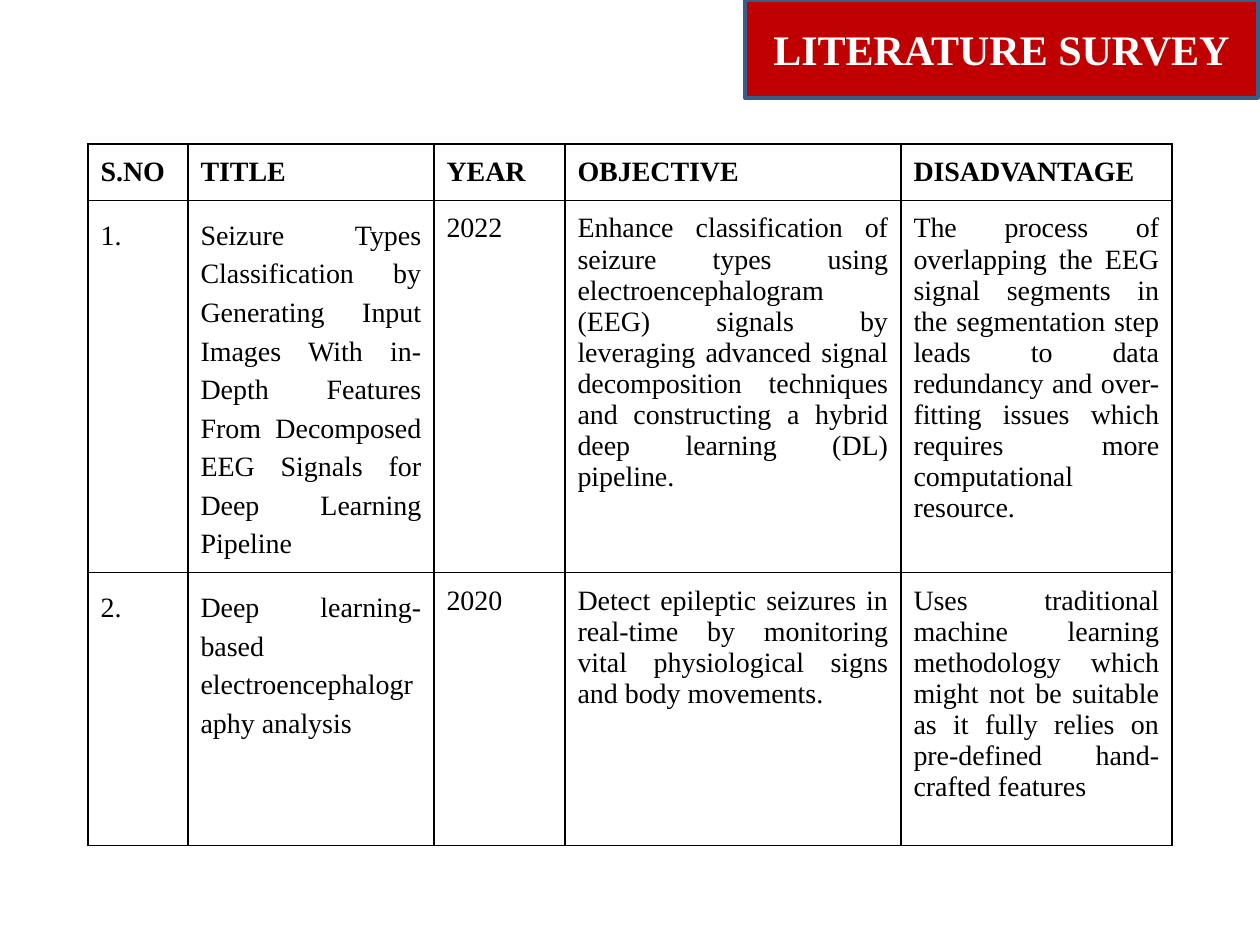
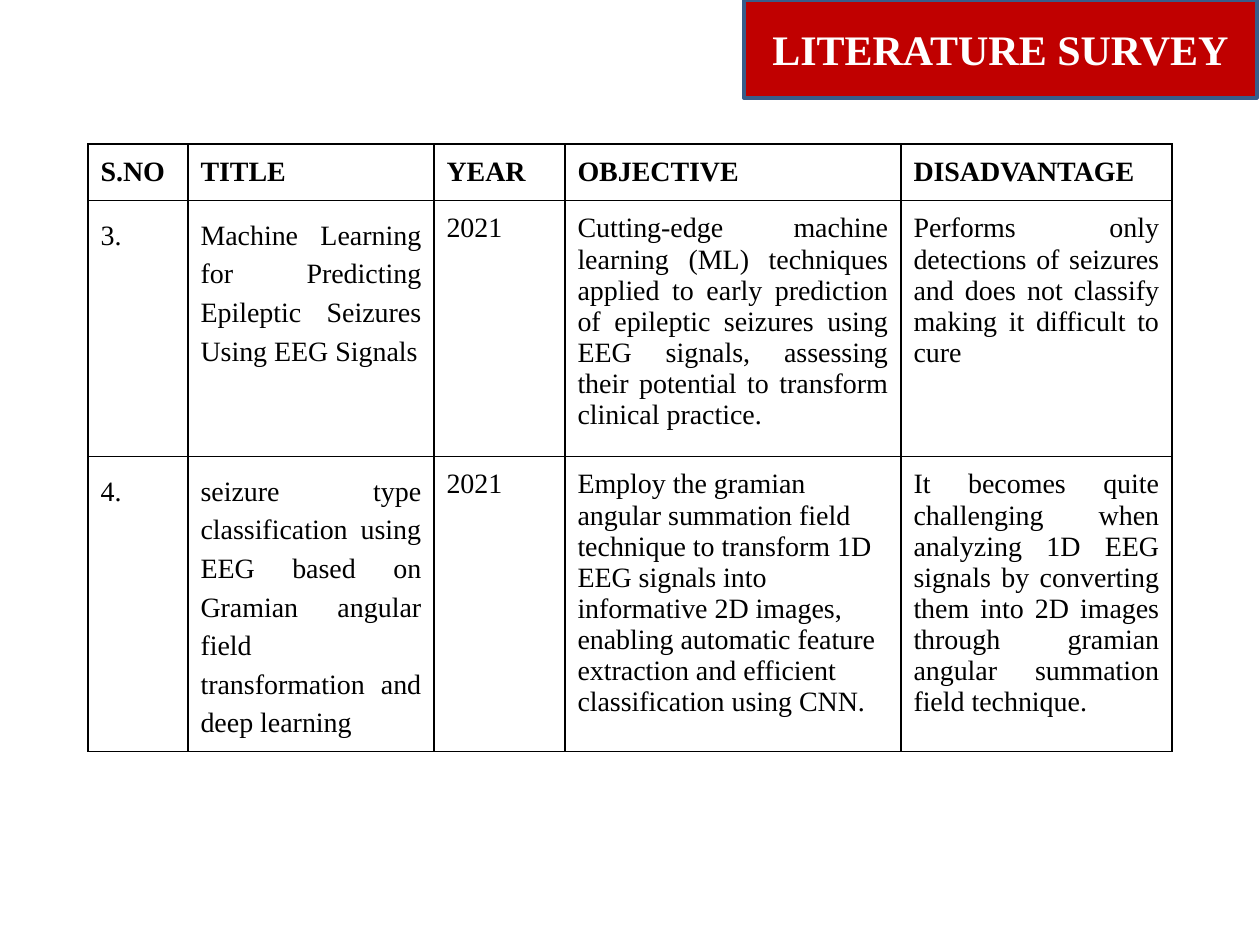
from lxml.etree import SubElement
from pptx import Presentation
from pptx.dml.color import RGBColor
from pptx.enum.shapes import MSO_SHAPE as Shape
from pptx.enum.text import MSO_ANCHOR as Anchor, PP_ALIGN as Align
from pptx.oxml.ns import qn
from pptx.util import Emu, Pt

PX = 914400 / 126
COLORS = {"banner": "C00000", "banner_line": "385D8A", "paper": "FFFFFF", "ink": "000000"}
FONT = "Times New Roman"
HEADERS = ["S.NO", "TITLE", "YEAR", "OBJECTIVE", "DISADVANTAGE"]
COLUMN_WIDTHS = [100, 246, 131, 336, 271]
HEADER_HEIGHT = 56
LOOSE_COLUMNS = 2  # number and title have wider line spacing

SURVEYS = [
    {
        "banner_left": 745,
        "row_heights": [370, 273],
        "papers": [
            ["1.",
             "Seizure Types Classification by Generating Input Images With in-Depth Features "
             "From Decomposed EEG Signals for Deep Learning Pipeline",
             "2022",
             "Enhance classification of seizure types using electroencephalogram (EEG) signals "
             "by leveraging advanced signal decomposition techniques and constructing a hybrid "
             "deep learning (DL) pipeline.",
             "The process of overlapping the EEG signal segments in the segmentation step leads "
             "to data redundancy and over-fitting issues which requires more computational "
             "resource."],
            ["2.",
             "Deep learning-based electroencephalography analysis",
             "2020",
             "Detect epileptic seizures in real-time by monitoring vital physiological signs "
             "and body movements.",
             "Uses traditional machine learning methodology which might not be suitable as it "
             "fully relies on pre-defined hand-crafted features"],
        ],
    },
    {
        "banner_left": 744,
        "row_heights": [256, 293],
        "left_aligned": {(2, 3)},
        "papers": [
            ["3.",
             "Machine Learning for Predicting Epileptic Seizures Using EEG Signals",
             "2021",
             "Cutting-edge machine learning (ML) techniques applied to early prediction of "
             "epileptic seizures using EEG signals, assessing their potential to transform "
             "clinical practice.",
             "Performs only detections of seizures and does not classify making it difficult "
             "to cure"],
            ["4.",
             "seizure type classification using EEG based on Gramian angular field "
             "transformation and deep learning",
             "2021",
             "Employ the gramian angular summation field technique to transform 1D EEG signals "
             "into informative 2D images, enabling automatic feature extraction and efficient "
             "classification using CNN.",
             "It becomes quite challenging when analyzing 1D EEG signals by converting them "
             "into 2D images through gramian angular summation field technique."],
        ],
    },
]


def px(length):
    return Emu(round(length * PX))


def color(name):
    return RGBColor.from_string(COLORS[name])


def write(frame, text, size=16, ink="ink", bold=False, align=Align.LEFT, spacing=None):
    paragraph = frame.paragraphs[0]
    paragraph.alignment = align
    if spacing:
        paragraph.line_spacing = spacing
    run = paragraph.add_run()
    run.text = text
    run.font.name = FONT
    run.font.size = Pt(size)
    run.font.bold = bold
    run.font.color.rgb = color(ink)


def set_borders(cell, width=1):
    """Draw all four edges; must run before the cell is filled."""
    properties = cell._tc.get_or_add_tcPr()
    for edge in ("a:lnL", "a:lnR", "a:lnT", "a:lnB"):
        line = SubElement(properties, qn(edge), w=str(Pt(width)))
        fill = SubElement(line, qn("a:solidFill"))
        SubElement(fill, qn("a:srgbClr"), val=COLORS["ink"])


class SurveyDeck:
    """Holds the presentation and the slide being drawn."""

    def __init__(self):
        self.presentation = Presentation()
        self.presentation.slide_width = px(1260)
        self.presentation.slide_height = px(945)
        self.slide = None

    def add_slide(self):
        self.slide = self.presentation.slides.add_slide(self.presentation.slide_layouts[6])

    def add_banner(self, text, left):
        banner = self.slide.shapes.add_shape(Shape.RECTANGLE, px(left), 0, px(513), px(98))
        banner.shadow.inherit = False
        banner.fill.solid()
        banner.fill.fore_color.rgb = color("banner")
        banner.line.color.rgb = color("banner_line")
        banner.line.width = Pt(2)
        frame = banner.text_frame
        frame.word_wrap = True
        frame.vertical_anchor = Anchor.MIDDLE
        write(frame, text, size=24, ink="paper", bold=True, align=Align.CENTER)

    def add_table(self, papers, row_heights, left_aligned=()):
        rows = [HEADERS, *papers]
        heights = [HEADER_HEIGHT, *row_heights]
        table = self.slide.shapes.add_table(
            len(rows), len(HEADERS), px(88), px(144),
            px(sum(COLUMN_WIDTHS)), px(sum(heights))).table
        table.first_row = table.horz_banding = False
        for column, width in zip(table.columns, COLUMN_WIDTHS):
            column.width = px(width)
        for row, height in zip(table.rows, heights):
            row.height = px(height)
        for row_index, texts in enumerate(rows):
            header = row_index == 0
            for column_index, text in enumerate(texts):
                plain = header or (row_index, column_index) in left_aligned
                loose = not header and column_index < LOOSE_COLUMNS
                self.fill_cell(table.cell(row_index, column_index), text, bold=header,
                               align=Align.LEFT if plain else Align.JUSTIFY,
                               spacing=1.24 if loose else None)

    def fill_cell(self, cell, text, **text_format):
        cell.margin_left = cell.margin_right = px(12.6)
        cell.margin_top = cell.margin_bottom = px(12.6)
        set_borders(cell)
        cell.fill.solid()
        cell.fill.fore_color.rgb = color("paper")
        write(cell.text_frame, text, **text_format)


def main():
    deck = SurveyDeck()
    for survey in SURVEYS:
        deck.add_slide()
        deck.add_table(survey["papers"], survey["row_heights"], survey.get("left_aligned", ()))
        deck.add_banner("LITERATURE SURVEY", survey["banner_left"])
    deck.presentation.save("out.pptx")


if __name__ == "__main__":
    main()
